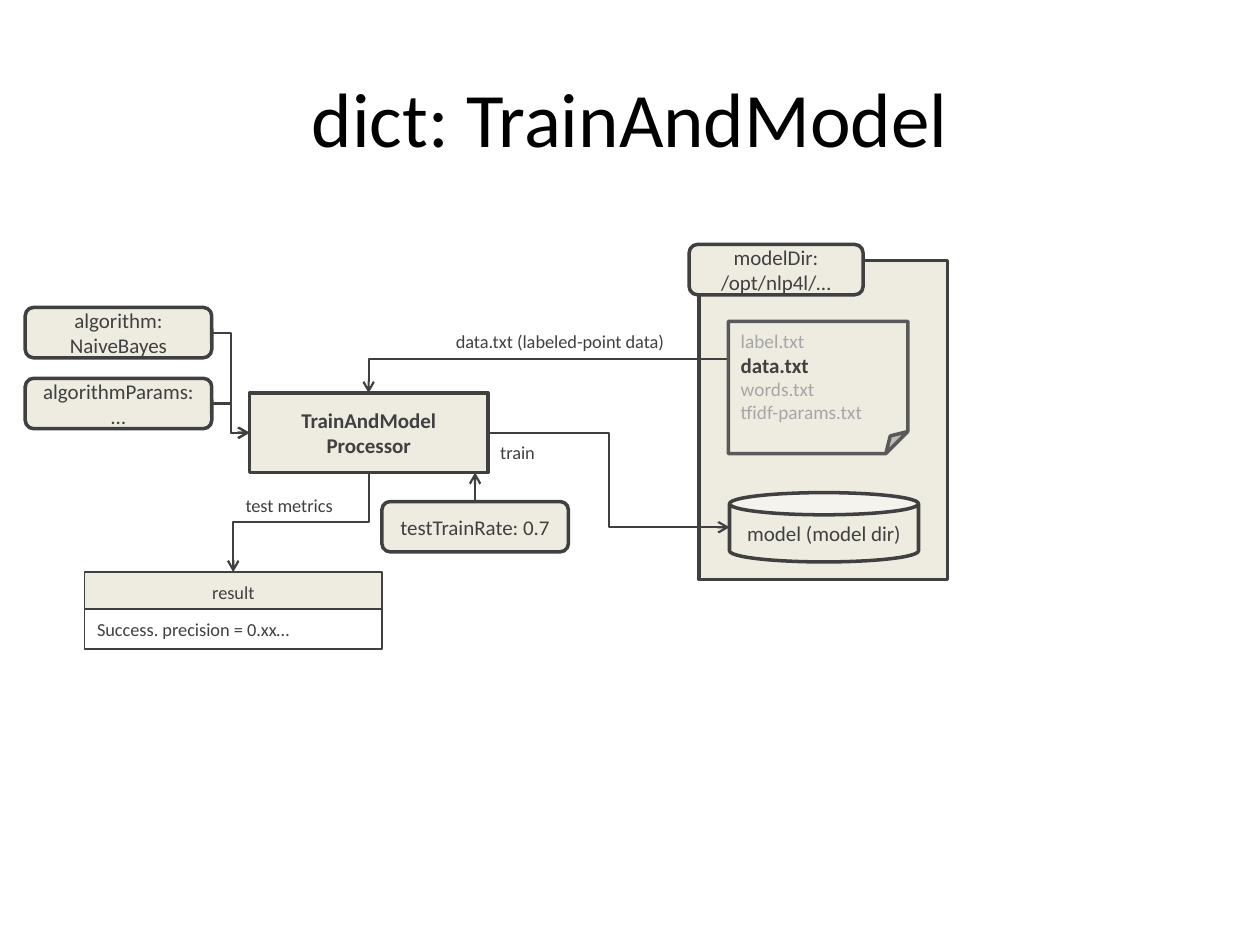
from dataclasses import dataclass

from lxml import etree
from pptx import Presentation
from pptx.dml.color import RGBColor
from pptx.enum.shapes import MSO_CONNECTOR, MSO_SHAPE
from pptx.enum.text import MSO_ANCHOR, PP_ALIGN
from pptx.oxml.ns import qn
from pptx.util import Pt

ELBOW, STRAIGHT = MSO_CONNECTOR.ELBOW, MSO_CONNECTOR.STRAIGHT
RECT, ROUNDED = MSO_SHAPE.RECTANGLE, MSO_SHAPE.ROUNDED_RECTANGLE
NOTE, CAN = MSO_SHAPE.FOLDED_CORNER, MSO_SHAPE.CAN
LEFT, CENTER = PP_ALIGN.LEFT, PP_ALIGN.CENTER
MIDDLE = MSO_ANCHOR.MIDDLE
TITLE_ONLY = 5
TOP = 0


@dataclass(frozen=True)
class Theme:
    font: str = "Calibri"
    black: RGBColor = RGBColor(0x00, 0x00, 0x00)
    white: RGBColor = RGBColor(0xFF, 0xFF, 0xFF)
    ink: RGBColor = RGBColor(0x40, 0x40, 0x40)
    note_line: RGBColor = RGBColor(0x59, 0x59, 0x59)
    muted: RGBColor = RGBColor(0xA6, 0xA6, 0xA6)
    cream: RGBColor = RGBColor(0xEE, 0xEC, 0xE1)
    title: float = 44
    body: float = 12
    file: float = 11
    label: float = 10.5
    border: float = 2
    thin: float = 1
    arrow: float = 1.25


THEME = Theme()


def style(paragraph, size, color=THEME.ink, bold=False, align=LEFT):
    paragraph.alignment = align
    font = paragraph.font
    font.name, font.size, font.bold = THEME.font, Pt(size), bold
    font.color.rgb = color


def write(box, lines, size=THEME.body, align=CENTER, bold=False):
    frame = box.text_frame
    frame.word_wrap = True
    frame.text = "\n".join(lines)
    for paragraph in frame.paragraphs:
        style(paragraph, size, bold=bold, align=align)


def add_title(page, words):
    title = page.shapes.title
    title.left, title.top, title.width, title.height = Pt(36), Pt(21.6), Pt(648), Pt(90)
    title.text_frame.text = words
    title.text_frame.vertical_anchor = MIDDLE
    style(title.text_frame.paragraphs[0], THEME.title, THEME.black, align=CENTER)


def add_box(page, kind, place, fill=THEME.cream, line=THEME.ink, width=THEME.border):
    box = page.shapes.add_shape(kind, *map(Pt, place))
    box.shadow.inherit = False
    box.fill.solid()
    box.fill.fore_color.rgb = fill
    box.line.color.rgb = line
    box.line.width = Pt(width)
    box.text_frame.vertical_anchor = MIDDLE
    return box


def add_setting(page, left, top, width, words):
    box = add_box(page, ROUNDED, (left, top, width, 28.8))
    write(box, [words])
    return box


def add_label(page, left, top, width, words):
    box = page.shapes.add_textbox(Pt(left), Pt(top), Pt(width), Pt(20.2))
    write(box, [words], THEME.label, LEFT)


def add_note(page, place, files, current):
    note = add_box(page, NOTE, place, line=THEME.note_line)
    write(note, files, THEME.file, LEFT)
    for paragraph in note.text_frame.paragraphs:
        if paragraph.text == current:
            style(paragraph, THEME.body, bold=True)
        else:
            style(paragraph, THEME.file, THEME.muted)


def add_result(page, left, top, width, heading, message):
    rows = ((heading, THEME.cream, CENTER), (message, THEME.white, LEFT))
    for row, (words, fill, align) in enumerate(rows):
        place = (left, top + row * 20.9, width, 23)
        box = add_box(page, RECT, place, fill, width=THEME.thin)
        write(box, [words], THEME.label, align)


def add_arrow(page, kind, start, end):
    arrow = page.shapes.add_connector(kind, *map(Pt, start + end))
    arrow.line.color.rgb = THEME.ink
    arrow.line.width = Pt(THEME.arrow)
    properties = arrow._element.spPr
    etree.SubElement(properties.find(qn("a:ln")), qn("a:tailEnd"), type="arrow")
    etree.SubElement(properties, qn("a:effectLst"))
    return arrow


def add_corner_arrow(page, start, end):
    arrow = add_arrow(page, ELBOW, start, end)
    arrow._element.spPr.find(qn("a:prstGeom")).set("prst", "bentConnector2")


def add_down_left_arrow(page, start, end):
    center_x, center_y = (start[0] + end[0]) / 2, (start[1] + end[1]) / 2
    half_width, half_height = (end[1] - start[1]) / 2, (start[0] - end[0]) / 2
    arrow = add_arrow(
        page,
        ELBOW,
        (center_x - half_width, center_y - half_height),
        (center_x + half_width, center_y + half_height),
    )
    arrow._element.spPr.find(qn("a:xfrm")).set("rot", "5400000")


def main():
    deck = Presentation()
    deck.slide_width, deck.slide_height = Pt(720), Pt(540)
    page = deck.slides.add_slide(deck.slide_layouts[TITLE_ONLY])

    add_box(page, RECT, (399.6, 149, 141.8, 182.2))
    add_title(page, "dict: TrainAndModel")
    processor = add_box(page, RECT, (142.6, 224.6, 136.2, 45.4))
    write(processor, ["TrainAndModel", "Processor"], bold=True)

    add_arrow(page, ELBOW, (278.8, 247.3), (416.9, 301.3))
    add_corner_arrow(page, (416.2, 205.2), (210.7, 224.6))
    files = ["label.txt", "data.txt", "words.txt", "tfidf-params.txt"]
    add_note(page, (416.2, 183.6, 102.6, 75.6), files, "data.txt")
    add_result(page, 48.4, 326.9, 169.9, "result", "Success. precision = 0.xx…")
    add_down_left_arrow(page, (210.7, 270), (133.3, 326.9))

    add_setting(page, 393.8, 139.7, 99.4, "modelDir: /opt/nlp4l/…")
    add_label(page, 253.4, 185, 146.2, "data.txt (labeled-point data)")
    model = add_box(page, CAN, (416.9, 281.5, 108, 39.6))
    model.adjustments[0] = 0.32
    write(model, ["model (model dir)"])

    settings = ((175.7, "algorithm: NaiveBayes"), (216.2, "algorithmParams: …"))
    for top, words in settings:
        add_setting(page, 14.4, top, 106.6, words)
    for top, words in settings:
        add_arrow(page, ELBOW, (121, top + 14.4), (142.6, 247.3))

    rate = add_setting(page, 218.2, 286.6, 106.6, "testTrainRate: 0.7")
    rate_arrow = add_arrow(page, STRAIGHT, (271.5, 286.6), (271.5, 270))
    rate_arrow.begin_connect(rate, TOP)
    add_label(page, 278.8, 248.6, 46.1, "train")
    add_label(page, 133.2, 278.6, 77.8, "test metrics")

    deck.save("out.pptx")


if __name__ == "__main__":
    main()
